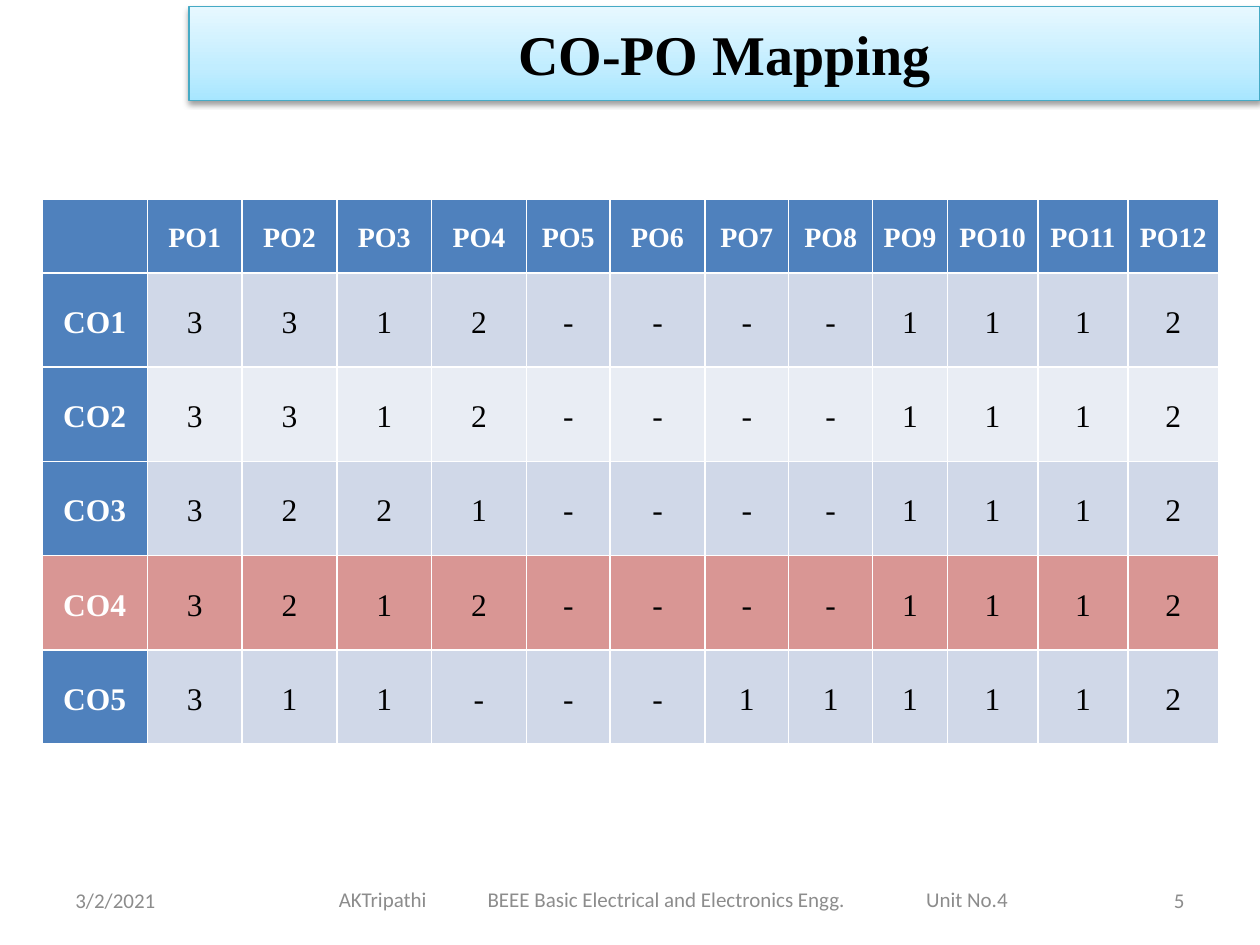
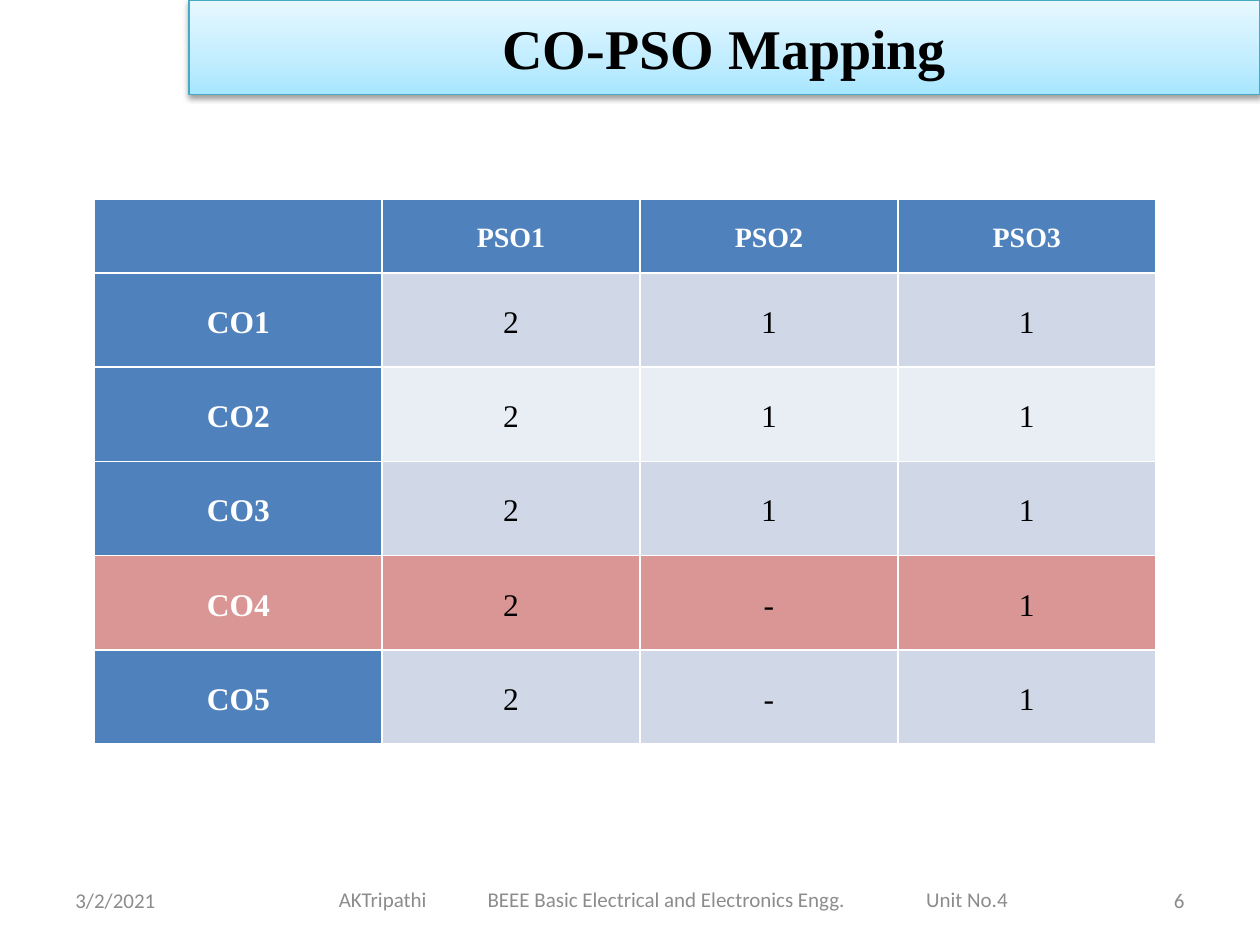
from pptx import Presentation
from pptx.dml.color import RGBColor
from pptx.enum.text import MSO_ANCHOR, PP_ALIGN
from pptx.oxml import parse_xml
from pptx.oxml.ns import nsdecls
from pptx.util import Cm, Pt

SERIF, SANS = "Times New Roman", "Calibri"
BLACK, WHITE, GREY = "000000", "FFFFFF", "8C8C8C"
BLUE, BAND_DARK, BAND_LIGHT, HIGHLIGHT = "4F81BD", "D0D8E8", "E9EDF4", "D99694"
TITLE_EDGE = "46AAC5"
TITLE_STOPS = [(0, "A7E6FF"), (35, "C1EDFF"), (100, "E7F8FF")]

DATE = "3/2/2021"
FOOTER = "AKTripathi\tBEEE Basic Electrical and Electronics Engg.\tUnit No.4"
FOOTER_TABS = [3, 11.84]
HEADER_HEIGHT, ROW_HEIGHT = 1.48, 1.9
TABLE_TOP = 4.02
CURRENT_OUTCOME = "CO4"

PO_WIDTHS = [2.12] + [1.91] * 4 + [1.69, 1.91, 1.69, 1.69, 1.51] + [1.82] * 3
PO_SCORES = {
    "CO1": "3 3 1 2 - - - - 1 1 1 2",
    "CO2": "3 3 1 2 - - - - 1 1 1 2",
    "CO3": "3 2 2 1 - - - - 1 1 1 2",
    "CO4": "3 2 1 2 - - - - 1 1 1 2",
    "CO5": "3 1 1 - - - 1 1 1 1 1 2",
}
PSO_WIDTHS = [5.79] + [5.2] * 3
PSO_SCORES = {
    "CO1": "2 1 1",
    "CO2": "2 1 1",
    "CO3": "2 1 1",
    "CO4": "2 - 1",
    "CO5": "2 - 1",
}


def color(value):
    return RGBColor.from_string(value)


def write(frame, text, size, font, ink, align, bold=False):
    """Put one formatted paragraph in a text frame and return it."""
    frame.text = text
    para = frame.paragraphs[0]
    para.alignment = align
    for span in para.runs:
        span.font.size = Pt(size)
        span.font.name = font
        span.font.bold = bold
        span.font.color.rgb = color(ink)
    return para


def add_title(page, text, top):
    title = page.shapes.title
    title.left, title.top, title.width, title.height = Cm(3.81), Cm(top), Cm(21.59), Cm(1.9)
    title.text_frame.vertical_anchor = MSO_ANCHOR.MIDDLE
    write(title.text_frame, text, 32, SERIF, BLACK, PP_ALIGN.CENTER, bold=True)
    stops = "".join(
        f'<a:gs pos="{place * 1000}"><a:srgbClr val="{tint}"/></a:gs>'
        for place, tint in TITLE_STOPS
    )
    properties = title._element.spPr
    properties.append(parse_xml(
        f'<a:gradFill {nsdecls("a")} rotWithShape="1"><a:gsLst>{stops}</a:gsLst>'
        '<a:lin ang="16200000" scaled="1"/></a:gradFill>'
    ))
    title.line.color.rgb = color(TITLE_EDGE)
    title.line.width = Pt(0.75)
    properties.append(parse_xml(
        f'<a:effectLst {nsdecls("a")}>'
        '<a:outerShdw blurRad="40000" dist="20000" dir="5400000" rotWithShape="0">'
        f'<a:srgbClr val="{BLACK}"><a:alpha val="38000"/></a:srgbClr>'
        '</a:outerShdw></a:effectLst>'
    ))


def add_footer_text(page, text, left, top, width, align):
    box = page.shapes.add_textbox(Cm(left), Cm(top), Cm(width), Cm(1.01))
    frame = box.text_frame
    frame.word_wrap = True
    frame.vertical_anchor = MSO_ANCHOR.MIDDLE
    return frame, write(frame, text, 12, SANS, GREY, align)


def add_footers(page, number):
    add_footer_text(page, DATE, 1.27, 17.65, 5.93, PP_ALIGN.LEFT)
    add_footer_text(page, str(number), 18.2, 17.65, 5.93, PP_ALIGN.RIGHT)
    frame, para = add_footer_text(page, FOOTER, 6.35, 17.63, 14.48, PP_ALIGN.LEFT)
    frame.margin_left = Cm(0.48)
    tabs = "".join(f'<a:tab pos="{Cm(place)}" algn="l"/>' for place in FOOTER_TABS)
    para._p.get_or_add_pPr().append(
        parse_xml(f'<a:tabLst {nsdecls("a")}>{tabs}</a:tabLst>')
    )


def fill_cell(cell, text, fill, ink, size, bold):
    cell.fill.solid()
    cell.fill.fore_color.rgb = color(fill)
    cell.vertical_anchor = MSO_ANCHOR.MIDDLE
    cell.margin_left = cell.margin_right = Cm(0.18)
    cell.margin_top = cell.margin_bottom = 0
    para = write(cell.text_frame, text, size, SERIF, ink, PP_ALIGN.CENTER, bold)
    para.line_spacing = 1.15


def add_mapping_table(page, prefix, scores, widths, left):
    """Add a table of course outcomes against numbered programme outcomes."""
    height = HEADER_HEIGHT + ROW_HEIGHT * len(scores)
    table = page.shapes.add_table(
        len(scores) + 1, len(widths), Cm(left), Cm(TABLE_TOP), Cm(sum(widths)), Cm(height)
    ).table
    for column, width in zip(table.columns, widths):
        column.width = Cm(width)
    for index, row in enumerate(table.rows):
        row.height = Cm(ROW_HEIGHT if index else HEADER_HEIGHT)

    headings = [""] + [f"{prefix}{number}" for number in range(1, len(widths))]
    for column, heading in enumerate(headings):
        fill_cell(table.cell(0, column), heading, BLUE, WHITE, 16, True)

    for row, (outcome, values) in enumerate(scores.items(), start=1):
        label_fill, band = BLUE, BAND_DARK if row % 2 else BAND_LIGHT
        if outcome == CURRENT_OUTCOME:
            label_fill = band = HIGHLIGHT
        fill_cell(table.cell(row, 0), outcome, label_fill, WHITE, 18, True)
        for column, value in enumerate(values.split(), start=1):
            fill_cell(table.cell(row, column), value, band, BLACK, 18, False)


def add_mapping_page(deck, number, prefix, title_top, scores, widths, table_left):
    page = deck.slides.add_slide(deck.slide_layouts.get_by_name("Title Only"))
    add_title(page, f"CO-{prefix} Mapping", title_top)
    add_mapping_table(page, prefix, scores, widths, table_left)
    add_footers(page, number)


def main():
    deck = Presentation()
    deck.slide_width, deck.slide_height = Cm(25.4), Cm(19.05)
    add_mapping_page(deck, 5, "PO", 0.13, PO_SCORES, PO_WIDTHS, 0.85)
    add_mapping_page(deck, 6, "PSO", 0, PSO_SCORES, PSO_WIDTHS, 1.91)
    deck.save("out.pptx")


if __name__ == "__main__":
    main()
